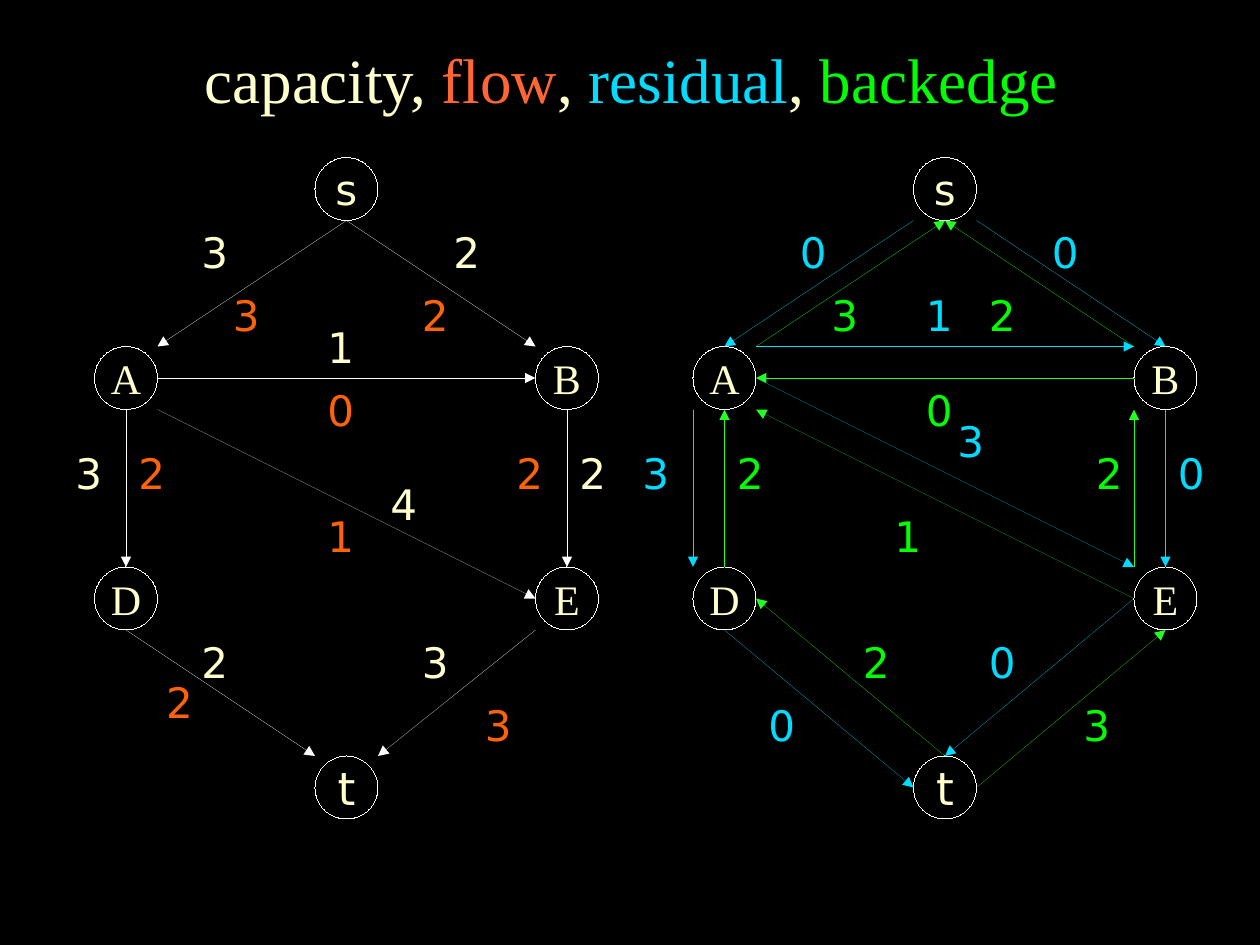
import pptx
import pptx.util
import pptx.dml.color
import pptx.enum.shapes
import pptx.enum.text
import pptx.oxml
import pptx.oxml.ns
from pptx.util import Inches

SANS, SERIF = "DejaVu Sans", "Times New Roman"
CREAM, WHITE, BLACK = "FFFFCC", "FFFFFF", "000000"
ORANGE, CYAN, GREEN, GREEN_LINE = "FF6309", "00DCFF", "00FF00", "23FF23"
NODE_SIZE = 0.5
GRAPH_OFFSET = 4.75

NODES = [
    ("s", 2.5, 1.25, SANS, 24),
    ("A", 0.75, 2.75, SERIF, 24),
    ("B", 4.25, 2.75, SERIF, 24),
    ("D", 0.75, 4.5, SERIF, 24),
    ("E", 4.25, 4.5, SERIF, 24),
    ("t", 2.5, 6, SANS, 26),
]

EDGES = [
    (WHITE, "tailEnd", [
        (1, 3.25, 1, 4.5), (1, 5, 2.5, 6), (2.75, 1.75, 1.25, 2.75),
        (4.25, 5, 3, 6), (2.75, 1.75, 4.25, 2.75), (4.5, 3.25, 4.5, 4.5),
        (1.25, 3.25, 4.25, 4.75), (1.25, 3, 4.25, 3),
    ]),
    (CYAN, "tailEnd", [
        (5.5, 3.25, 5.5, 4.5), (5.75, 5, 7.25, 6.25), (7.25, 1.75, 5.75, 2.75),
        (7.75, 1.75, 9.25, 2.75), (9.25, 3.25, 9.25, 4.5), (6, 2.75, 9, 2.75),
        (6, 3, 9, 4.5), (9, 4.75, 7.5, 6),
    ]),
    (GREEN_LINE, "headEnd", [
        (9.25, 5, 7.75, 6.25), (6, 3.25, 9, 4.75), (7.5, 1.75, 6, 2.75),
        (7.5, 1.75, 9, 2.75), (6, 3, 9, 3), (5.75, 3.25, 5.75, 4.5),
        (6, 4.75, 7.5, 6), (9, 3.25, 9, 4.5),
    ]),
]

LABELS = [
    (CREAM, [
        ("3", 1.5, 1.75), ("2", 3.5, 1.75), ("4", 3, 3.75), ("2", 1.5, 5),
        ("2", 4.5, 3.5), ("3", 0.5, 3.5), ("1", 2.5, 2.5), ("3", 3.25, 5),
    ]),
    (ORANGE, [
        ("0", 2.5, 3), ("2", 3.25, 2.25), ("3", 1.75, 2.25), ("1", 2.5, 4),
        ("2", 1, 3.5), ("2", 4, 3.5), ("2", 1.22, 5.32), ("3", 3.75, 5.5),
    ]),
    (CYAN, [
        ("0", 6.25, 1.75), ("0", 8.25, 1.75), ("3", 7.5, 3.25), ("0", 6, 5.5),
        ("0", 9.25, 3.5), ("3", 5, 3.5), ("1", 7.25, 2.25), ("0", 7.75, 5),
    ]),
    (GREEN, [
        ("0", 7.25, 3), ("2", 7.75, 2.25), ("3", 6.5, 2.25), ("1", 7, 4),
        ("2", 5.75, 3.5), ("2", 8.6, 3.5), ("2", 6.75, 5), ("3", 8.5, 5.5),
    ]),
]

TITLE = [
    ("capacity, ", CREAM), ("flow", "FF6633"), (", ", CREAM),
    ("residual", CYAN), (", ", CREAM), ("backedge", GREEN),
]


def rgb(value):
    return pptx.dml.color.RGBColor.from_string(value)


def apply(target, values):
    for name, value in values.items():
        setattr(target, name, value)


def add_run(p, text, font, size, color):
    r = p.add_run()
    r.text = text
    apply(r.font, {"name": font, "size": pptx.util.Pt(size)})
    r.font.color.rgb = rgb(color)


def set_hairline(sp, color):
    sp.line.color.rgb = rgb(color)
    ln = sp._element.spPr.find(pptx.oxml.ns.qn("a:ln"))
    ln.set("w", "0")
    return ln


def add_title(s):
    sp = s.shapes.title
    apply(sp, {"left": Inches(0.15), "top": Inches(0.25),
               "width": Inches(9.72), "height": Inches(0.75)})
    tf = sp.text_frame
    apply(tf, {"margin_left": 0, "margin_right": 0, "margin_top": 0, "margin_bottom": 0,
               "word_wrap": True,
               "vertical_anchor": pptx.enum.text.MSO_ANCHOR.MIDDLE,
               "auto_size": pptx.enum.text.MSO_AUTO_SIZE.SHAPE_TO_FIT_TEXT})
    p = tf.paragraphs[0]
    p.alignment = pptx.enum.text.PP_ALIGN.CENTER
    for text, color in TITLE:
        add_run(p, text, SERIF, 36, color)


def add_node(s, text, x, y, font, size):
    sp = s.shapes.add_shape(pptx.enum.shapes.MSO_SHAPE.OVAL, Inches(x), Inches(y),
                            Inches(NODE_SIZE), Inches(NODE_SIZE))
    sp.shadow.inherit = False
    sp.fill.background()
    set_hairline(sp, WHITE)
    tf = sp.text_frame
    apply(tf, {"word_wrap": False, "vertical_anchor": pptx.enum.text.MSO_ANCHOR.MIDDLE})
    p = tf.paragraphs[0]
    p.alignment = pptx.enum.text.PP_ALIGN.CENTER
    add_run(p, text, font, size, CREAM)


def add_edge(s, points, color, arrow_end):
    sp = s.shapes.add_connector(pptx.enum.shapes.MSO_CONNECTOR.STRAIGHT,
                                *[Inches(value) for value in points])
    ln = set_hairline(sp, color)
    namespace = pptx.oxml.ns.nsdecls("a")
    ln.append(pptx.oxml.parse_xml(f'<a:{arrow_end} {namespace} type="triangle"/>'))
    ln.addnext(pptx.oxml.parse_xml(f"<a:effectLst {namespace}/>"))


def add_label(s, text, x, y, color):
    sp = s.shapes.add_textbox(Inches(x), Inches(y), Inches(0.5), Inches(0.5))
    tf = sp.text_frame
    apply(tf, {"word_wrap": True,
               "auto_size": pptx.enum.text.MSO_AUTO_SIZE.SHAPE_TO_FIT_TEXT})
    add_run(tf.paragraphs[0], text, SANS, 24, color)


def main():
    prs = pptx.Presentation()
    apply(prs, {"slide_width": Inches(10), "slide_height": Inches(7.5)})
    s = prs.slides.add_slide(prs.slide_layouts.get_by_name("Title Only"))
    s.background.fill.solid()
    s.background.fill.fore_color.rgb = rgb(BLACK)
    add_title(s)
    for offset in (0, GRAPH_OFFSET):
        for text, x, y, font, size in NODES:
            add_node(s, text, x + offset, y, font, size)
    for color, arrow_end, edges in EDGES:
        for points in edges:
            add_edge(s, points, color, arrow_end)
    for color, labels in LABELS:
        for text, x, y in labels:
            add_label(s, text, x, y, color)
    prs.save("out.pptx")


if __name__ == "__main__":
    main()
